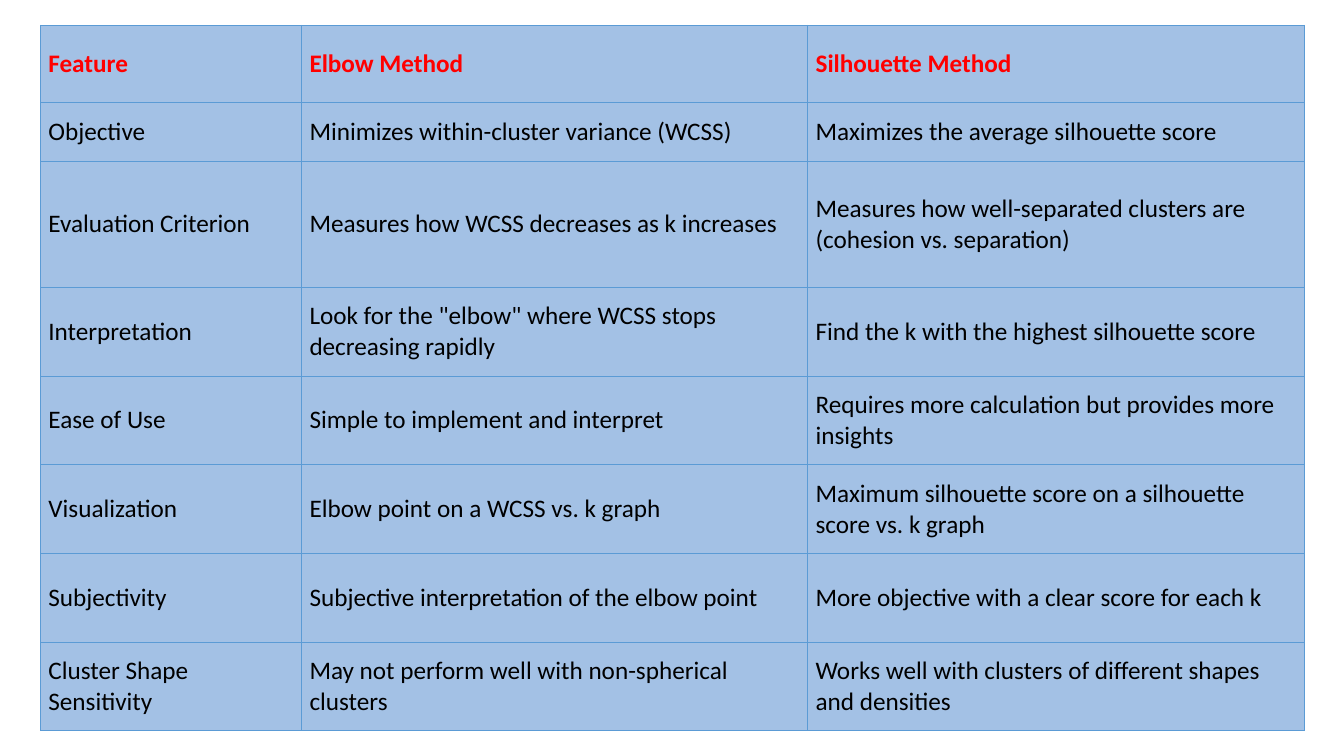
"""Build a slide with a table comparing the elbow and silhouette methods."""
from lxml import etree
from pptx import Presentation, util as u
from pptx.dml.color import RGBColor
from pptx.enum import text
from pptx.oxml import ns

RED = RGBColor(0xFF, 0x00, 0x00)
BLACK = RGBColor(0x00, 0x00, 0x00)
LIGHT_BLUE = RGBColor(0xA3, 0xC1, 0xE5)
BORDER_BLUE = RGBColor(0x5B, 0x9B, 0xD5)

COLUMN_WIDTHS = [2.59, 5.02, 4.93]
ROW_HEIGHTS = [0.77, 0.58, 1.25] + [0.88] * 5
COMPARISON = [
    ("Feature", "Elbow Method", "Silhouette Method"),
    ("Objective", "Minimizes within-cluster variance (WCSS)",
     "Maximizes the average silhouette score"),
    ("Evaluation Criterion", "Measures how WCSS decreases as k increases",
     "Measures how well-separated clusters are (cohesion vs. separation)"),
    ("Interpretation", 'Look for the "elbow" where WCSS stops decreasing rapidly',
     "Find the k with the highest silhouette score"),
    ("Ease of Use", "Simple to implement and interpret",
     "Requires more calculation but provides more insights"),
    ("Visualization", "Elbow point on a WCSS vs. k graph",
     "Maximum silhouette score on a silhouette score vs. k graph"),
    ("Subjectivity", "Subjective interpretation of the elbow point",
     "More objective with a clear score for each k"),
    ("Cluster Shape Sensitivity", "May not perform well with non-spherical clusters",
     "Works well with clusters of different shapes and densities"),
]


def add_borders(cell, color, width):
    """Draw a solid line on all four sides of a cell."""
    properties = cell._tc.get_or_add_tcPr()
    for side in ("a:lnL", "a:lnR", "a:lnT", "a:lnB"):
        line = etree.SubElement(properties, ns.qn(side), w=str(width))
        fill = etree.SubElement(line, ns.qn("a:solidFill"))
        etree.SubElement(fill, ns.qn("a:srgbClr"), val=str(color))


presentation = Presentation()
presentation.slide_width = u.Inches(13.33)
presentation.slide_height = u.Inches(7.5)
slide = presentation.slides.add_slide(presentation.slide_layouts[6])

table = slide.shapes.add_table(
    len(ROW_HEIGHTS), len(COLUMN_WIDTHS), u.Inches(0.4), u.Inches(0.25),
    u.Inches(sum(COLUMN_WIDTHS)), u.Inches(sum(ROW_HEIGHTS))).table
table.horz_banding = False
for column, width in zip(table.columns, COLUMN_WIDTHS):
    column.width = u.Inches(width)

for row_index, (row, height, entries) in enumerate(
        zip(table.rows, ROW_HEIGHTS, COMPARISON)):
    row.height = u.Inches(height)
    is_header = row_index == 0
    for cell, entry in zip(row.cells, entries):
        add_borders(cell, BORDER_BLUE, u.Pt(0.5))
        cell.fill.solid()
        cell.fill.fore_color.rgb = LIGHT_BLUE
        cell.vertical_anchor = text.MSO_ANCHOR.MIDDLE
        cell.margin_left = cell.margin_right = u.Inches(0.08)
        cell.margin_top = cell.margin_bottom = u.Inches(0.04)
        cell.text = entry
        font = cell.text_frame.paragraphs[0].font
        font.name = "Calibri"
        font.size = u.Pt(18)
        font.bold = is_header
        font.color.rgb = RED if is_header else BLACK

presentation.save("out.pptx")
